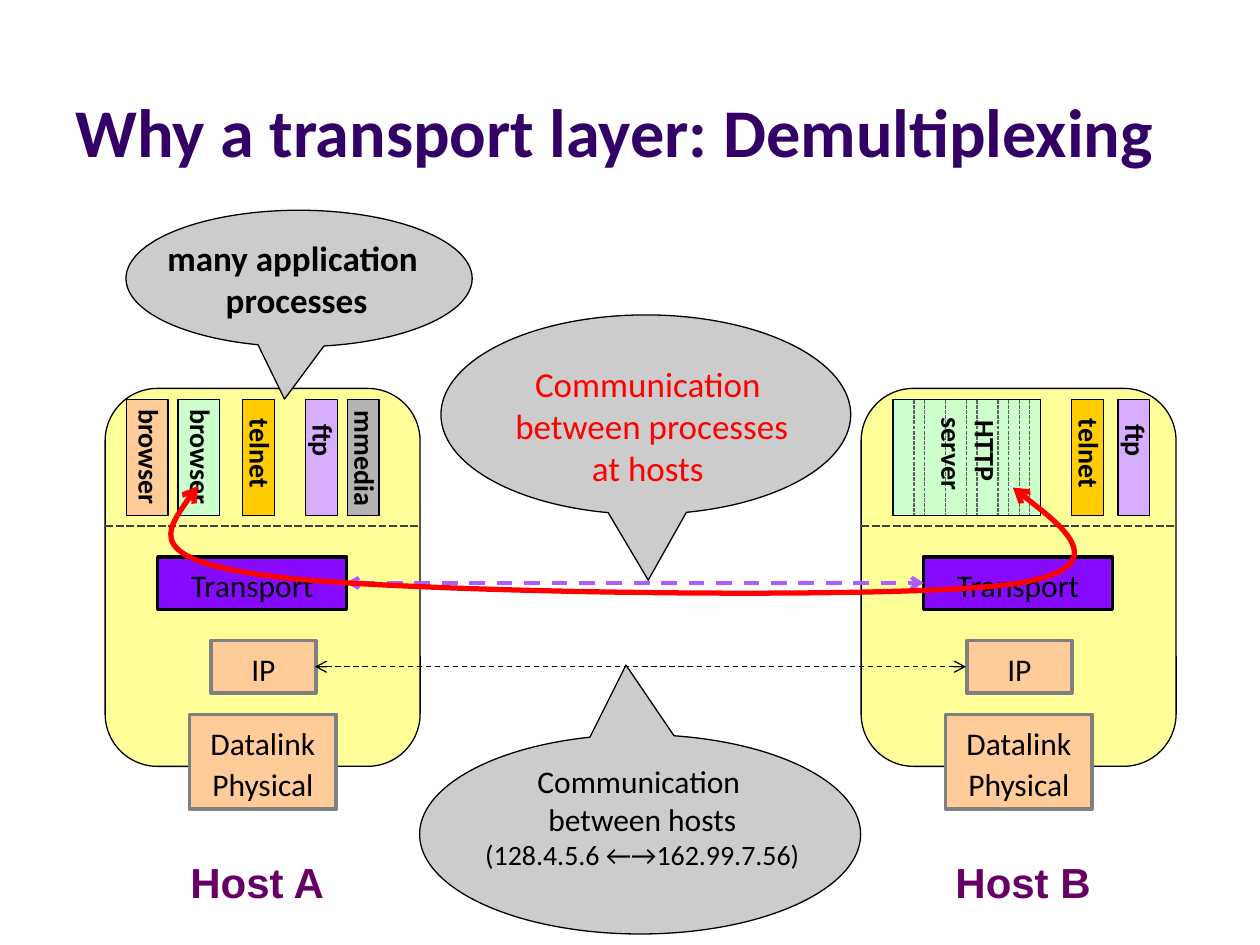
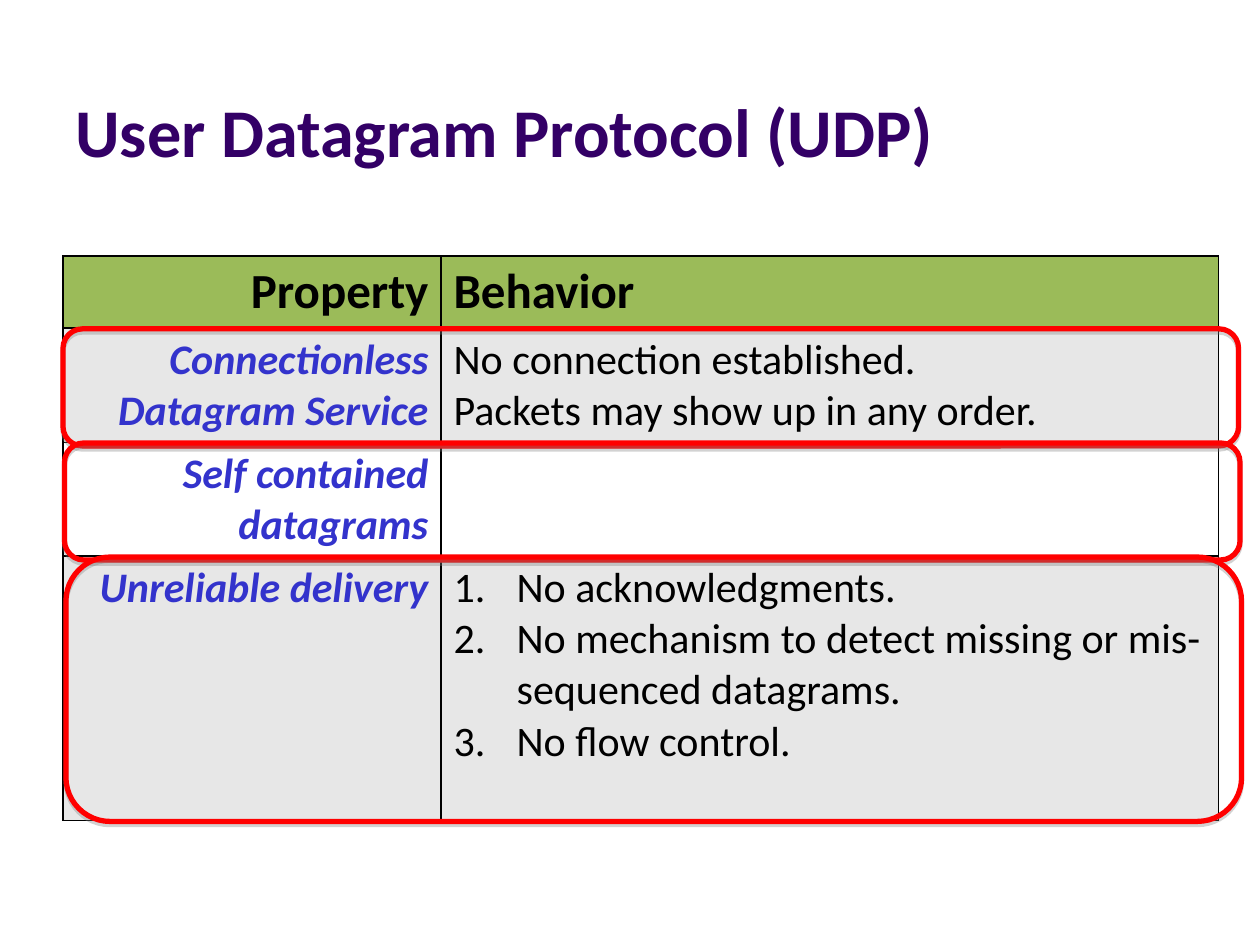
from lxml import etree
from pptx import Presentation
from pptx.dml.color import RGBColor
from pptx.enum.dml import MSO_LINE
from pptx.enum.shapes import MSO_CONNECTOR, MSO_SHAPE as SHAPE
from pptx.enum.text import MSO_ANCHOR as ANCHOR, PP_ALIGN as ALIGN
from pptx.oxml.ns import qn
from pptx.util import Cm, Pt

BLACK, RED, YELLOW, PEACH = "000000", "FF0000", "FFFF99", "FFCC99"
GRAY, PURPLE, GREEN, LILAC = "808080", "850AFF", "CCFFCC", "D6ADFF"

TITLE = {"size": Pt(39), "bold": True, "color": "330066"}
HOST_NAME = {"name": "Arial", "size": Pt(24), "bold": True, "color": "660066"}
LAYER = {"size": Pt(18)}
PROCESS = {"size": Pt(16), "bold": True}
HEADER = {"size": Pt(28), "bold": True}
PROPERTY = {"size": Pt(24), "bold": True, "italic": True, "color": "3333CC"}
BEHAVIOR = {"size": Pt(24)}

# label length and distance of its middle from the host's top, in cm
LABELS = {"browser": (2.72, 1.38), "telnet": (2.03, 1.31), "ftp": (1.24, 1.05),
          "mmedia": (2.69, 1.41), "HTTP \vserver": (2.24, 1.32)}
# process, left edge inside the host, width, fill
PROCESSES_A = [("browser", 0.43, 0.84, PEACH), ("browser", 1.47, 0.84, GREEN),
               ("telnet", 2.77, 0.64, "FFCC00"), ("ftp", 4.04, 0.64, LILAC),
               ("mmedia", 4.88, 0.64, "B3B3B3")]
PROCESSES_B = [("HTTP \vserver", 0.64, 2.97, GREEN),
               ("telnet", 4.24, 0.64, "FFCC00"), ("ftp", 5.18, 0.64, LILAC)]
THREAD_COLUMNS = (2, 3, 5, 7, 8, 10, 11, 12, 13)  # of 14

PROPERTIES = [
    (["Connectionless", "Datagram Service"],
     ["No connection established.", "Packets may show up in any order."]),
    (["Self contained datagrams"], []),
    (["Unreliable delivery"],
     ["No acknowledgments.",
      "No mechanism to detect missing or mis-sequenced datagrams.",
      "No flow control."]),
]


def color(hex_string):
    """Turn a hex string into a colour."""
    return RGBColor.from_string(hex_string)


def cm_box(*lengths):
    """Turn numbers in centimetres into lengths."""
    return [Cm(length) for length in lengths]


def add_xml(parent, tag, **attributes):
    """Append an XML element and return it."""
    return etree.SubElement(parent, qn(tag), attributes)


def write(frame, lines, style, align=ALIGN.LEFT, spacing=None):
    """Write one paragraph a line in the given style."""
    for index, line in enumerate(lines):
        paragraph = frame.paragraphs[0] if index == 0 else frame.add_paragraph()
        paragraph.text = line
        paragraph.alignment = align
        paragraph.line_spacing = spacing
        for run in paragraph.runs:
            values = {"name": "Calibri", "color": BLACK, **style}
            run.font.color.rgb = color(values.pop("color"))
            for name, value in values.items():
                setattr(run.font, name, value)


def add_text(slide, box, lines, style, align=ALIGN.CENTER, wrap=False,
             anchor=ANCHOR.TOP):
    """Add a text box."""
    text_box = slide.shapes.add_textbox(*cm_box(*box))
    frame = text_box.text_frame
    frame.word_wrap, frame.vertical_anchor = wrap, anchor
    write(frame, lines, style, align)
    return text_box


def outline(shape, line_color, width, dash=None, arrows=False):
    """Style a line, with arrowheads at both ends if wanted."""
    shape.line.color.rgb = color(line_color)
    shape.line.width = Pt(width)
    if dash:
        shape.line.dash_style = dash
    if arrows:
        line = shape._element.spPr.find(qn("a:ln"))
        for tag in ("a:headEnd", "a:tailEnd"):
            add_xml(line, tag, type="arrow")


def add_shape(slide, kind, box, fill, line_color=BLACK, width=0.75):
    """Add a preset shape without shadow; fill None leaves it open."""
    shape = slide.shapes.add_shape(kind, *cm_box(*box))
    shape.shadow.inherit = False
    if fill:
        shape.fill.solid()
        shape.fill.fore_color.rgb = color(fill)
    else:
        shape.fill.background()
    outline(shape, line_color, width)
    return shape


def add_line(slide, start, end, *style):
    """Add a straight line between two points."""
    line = slide.shapes.add_connector(MSO_CONNECTOR.STRAIGHT,
                                      *cm_box(*start, *end))
    outline(line, *style)
    add_xml(line._element.spPr, "a:effectLst")


def add_title_slide(presentation, title):
    """Add a blank slide with the shared title."""
    slide = presentation.slides.add_slide(presentation.slide_layouts[6])
    add_text(slide, (1.27, 0.33, 23.7, 3.25), [title], TITLE, ALIGN.LEFT,
             True, ANCHOR.BOTTOM)
    return slide


def add_process(slide, left, top, name, width, fill):
    """Draw a process bar with its label turned by 90 degrees."""
    bar_top, bar_height = top + 0.23, 2.33
    add_shape(slide, SHAPE.RECTANGLE, (left, bar_top, width, bar_height), fill)
    if name.startswith("HTTP"):
        for column in THREAD_COLUMNS:
            x = left + width * column / 14
            add_line(slide, (x, bar_top), (x, bar_top + bar_height),
                     "606060", 0.75, MSO_LINE.SQUARE_DOT)
    length, middle = LABELS[name]
    height = 1.63 if "\v" in name else 0.94
    center = left + width / 2 + 0.04
    label = add_text(slide, (center - length / 2, top + middle - height / 2,
                             length, height), [name], PROCESS)
    label.rotation = 90


def add_host(slide, box, name, processes, shift):
    """Draw a host: processes above, protocol layers below, name underneath."""
    left, top, width, height = box
    add_shape(slide, SHAPE.ROUNDED_RECTANGLE, box, YELLOW)
    add_line(slide, (left, top + 2.77), (left + width, top + 2.77),
             "404040", 1.5, MSO_LINE.SQUARE_DOT)
    for process, offset, bar_width, fill in processes:
        add_process(slide, left + offset, top, process, bar_width, fill)
    layers = [(["Transport"], 1.06 + shift, 3.4, 3.81, 1.06, PURPLE, BLACK),
              (["IP"], 2.13, 5.08, 2.12, 1.06, PEACH, GRAY),
              (["Datalink", "Physical"], 1.7, 6.57, 2.96, 1.91, PEACH, GRAY)]
    for lines, x, y, layer_width, layer_height, fill, line_color in layers:
        layer = add_shape(slide, SHAPE.RECTANGLE,
                          (left + x, top + y, layer_width, layer_height),
                          fill, line_color, 2)
        layer.text_frame.word_wrap = False
        layer.text_frame.vertical_anchor = ANCHOR.MIDDLE
        write(layer.text_frame, lines, LAYER, ALIGN.CENTER, 1.1)
    add_text(slide, (left + 1.45 + shift, top + height + 1.7, 3.23, 1.27),
             [name], HOST_NAME)


def add_callout(slide, box, tip, text_box, lines, style):
    """Draw an elliptic callout; the text box is relative to its corner."""
    callout = add_shape(slide, SHAPE.OVAL_CALLOUT, box, "CCCCCC")
    for index, value in enumerate(tip):
        callout.adjustments[index] = value
    x, y, width, height = text_box
    return add_text(slide, (box[0] + x, box[1] + y, width, height), lines, style)


def add_curve(slide, start, *points):
    """Draw a red two-headed Bezier curve, three points a segment."""
    builder = slide.shapes.build_freeform(*cm_box(*start))
    builder.add_line_segments([cm_box(*point) for point in points], close=False)
    curve = builder.convert_to_shape()
    curve.shadow.inherit = False
    curve.fill.background()
    outline(curve, RED, 3, None, True)
    segments = list(curve._element.iter(qn("a:lnTo")))
    outline_path = segments[0].getparent()
    for index in range(0, len(segments), 3):
        bezier = add_xml(outline_path, "a:cubicBezTo")
        for segment in segments[index:index + 3]:
            bezier.append(segment[0])
            outline_path.remove(segment)


def build_demultiplexing(presentation):
    """Build the slide with two hosts and the links between their layers."""
    slide = add_title_slide(presentation,
                            "Why a transport layer: Demultiplexing")
    add_host(slide, (2.12, 7.83, 6.35, 7.62), "Host A", PROCESSES_A, 0)
    add_host(slide, (17.36, 7.83, 6.35, 7.62), "Host B", PROCESSES_B, 0.2)
    add_line(slide, (6.35, 13.44), (19.47, 13.44), BLACK, 0.75,
             MSO_LINE.DASH, True)
    add_line(slide, (6.99, 11.75), (18.62, 11.75), "AD5CFF", 2.25,
             MSO_LINE.DASH, True)
    add_callout(slide, (2.54, 4.24, 6.98, 2.75), (-0.042, 0.884),
                (0.2, 0.41, 6.32, 1.96), ["many application\v processes"],
                {"size": Pt(20), "bold": True})
    hosts_text = add_callout(slide, (8.46, 14.81, 8.89, 4.02), (-0.032, -0.849),
                             (0.63, 0.43, 7.72, 2.49),
                             ["Communication \vbetween hosts",
                              "(128.4.5.6 ←→162.99.7.56)"], LAYER)
    for run in hosts_text.text_frame.paragraphs[1].runs:
        run.font.size = Pt(16)
    add_callout(slide, (8.89, 6.35, 8.26, 4.02), (0.006, 0.83),
                (0.74, 0.84, 6.86, 2.82),
                ["Communication\v between processes", "at hosts"],
                {"size": Pt(20), "color": RED})
    add_curve(slide, (3.99, 9.8),
              (3.43, 10.54), (2.87, 11.3), (5.59, 11.63),
              (8.31, 11.96), (17.83, 12.09), (20.29, 11.79),
              (22.78, 11.48), (20.42, 9.83), (20.42, 9.83))


def fill_cell(cell, lines, style, align, fill):
    """Fill a cell and give it black borders."""
    write(cell.text_frame, lines, style, align)
    properties = cell._tc.get_or_add_tcPr()
    for side in ("a:lnL", "a:lnR", "a:lnT", "a:lnB"):
        border = add_xml(properties, side, w=str(Pt(1)))
        add_xml(add_xml(border, "a:solidFill"), "a:srgbClr", val=BLACK)
    cell.fill.solid()
    cell.fill.fore_color.rgb = color(fill)


def number_paragraphs(frame):
    """Number the paragraphs with a hanging indent."""
    for paragraph in frame.paragraphs:
        properties = paragraph._p.get_or_add_pPr()
        properties.set("marL", str(Cm(1.27)))
        properties.set("indent", str(-Cm(1.27)))
        add_xml(properties, "a:buFont", typeface="+mj-lt")
        add_xml(properties, "a:buAutoNum", type="arabicPeriod")


def add_property_table(slide, box):
    """Add the table of properties and their behavior."""
    table = slide.shapes.add_table(4, 2, *cm_box(*box)).table
    for column, width in zip(table.columns, (7.62, 15.67)):
        column.width = Cm(width)
    for row, height in zip(table.rows, (1.45, 2.31, 2.29, 5.33)):
        row.height = Cm(height)
    rows = [(["Property"], ["Behavior"])] + PROPERTIES
    for index, (left_lines, right_lines) in enumerate(rows):
        fill = ("E7E7E7" if index % 2 else "FFFFFF") if index else "9BBB59"
        left_style, right_style = (PROPERTY, BEHAVIOR) if index else (HEADER, HEADER)
        fill_cell(table.cell(index, 0), left_lines, left_style, ALIGN.RIGHT, fill)
        fill_cell(table.cell(index, 1), right_lines, right_style, ALIGN.LEFT, fill)
    number_paragraphs(table.cell(3, 1).text_frame)


def add_highlight(slide, box):
    """Frame a table row in red with a soft shadow."""
    frame = add_shape(slide, SHAPE.ROUNDED_RECTANGLE, box, None, RED, 3)
    effects = frame._element.spPr.find(qn("a:effectLst"))
    shadow = add_xml(effects, "a:outerShdw", dist=str(Pt(1.8)), dir="5400000",
                     rotWithShape="0")
    add_xml(add_xml(shadow, "a:srgbClr", val=GRAY), "a:alpha", val="35000")


def build_udp(presentation):
    """Build the slide with the table and its framed rows."""
    slide = add_title_slide(presentation, "User Datagram Protocol (UDP)")
    add_property_table(slide, (1.27, 5.16, 23.29, 11.38))
    for index, height in enumerate((2.36, 2.36, 5.33)):
        add_highlight(slide, (1.27 + 0.03 * index, 6.63 + 2.3 * index,
                              23.7, height))


presentation = Presentation()
presentation.slide_width, presentation.slide_height = Cm(25.4), Cm(19.05)
build_demultiplexing(presentation)
build_udp(presentation)
presentation.save("out.pptx")
